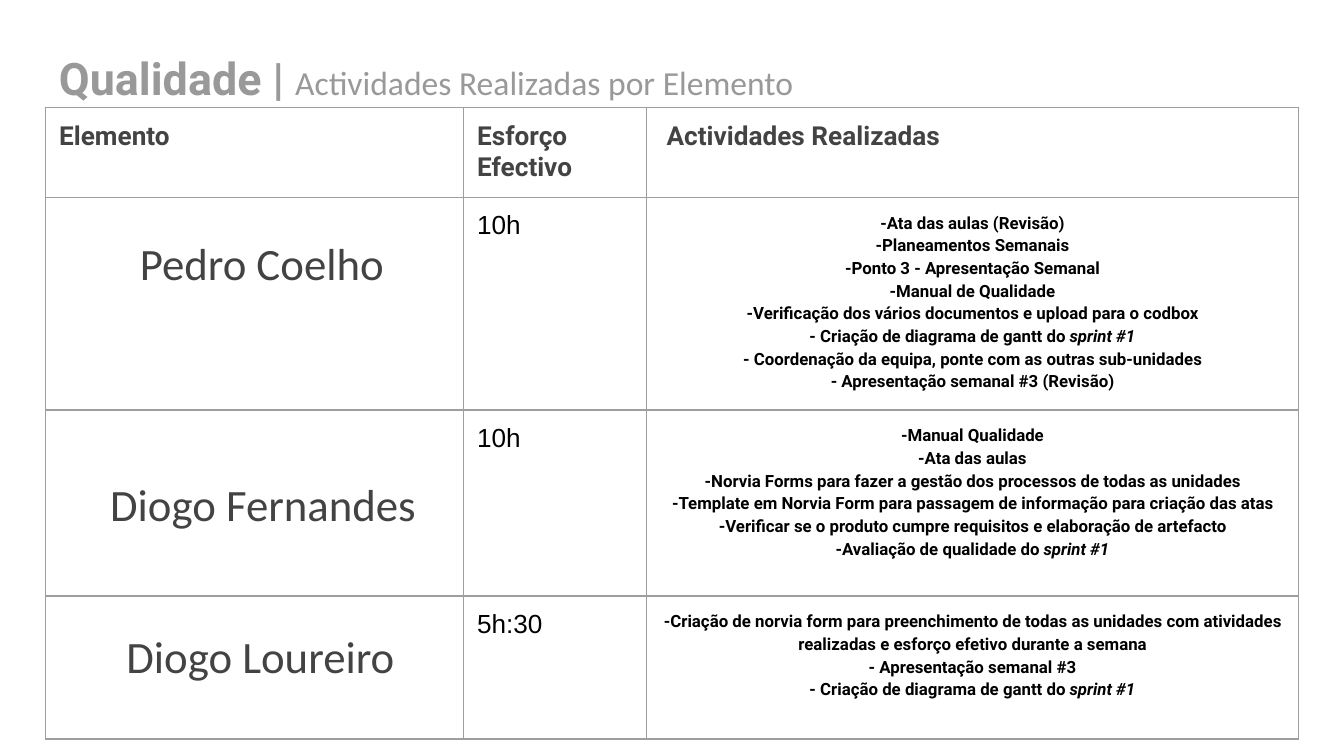
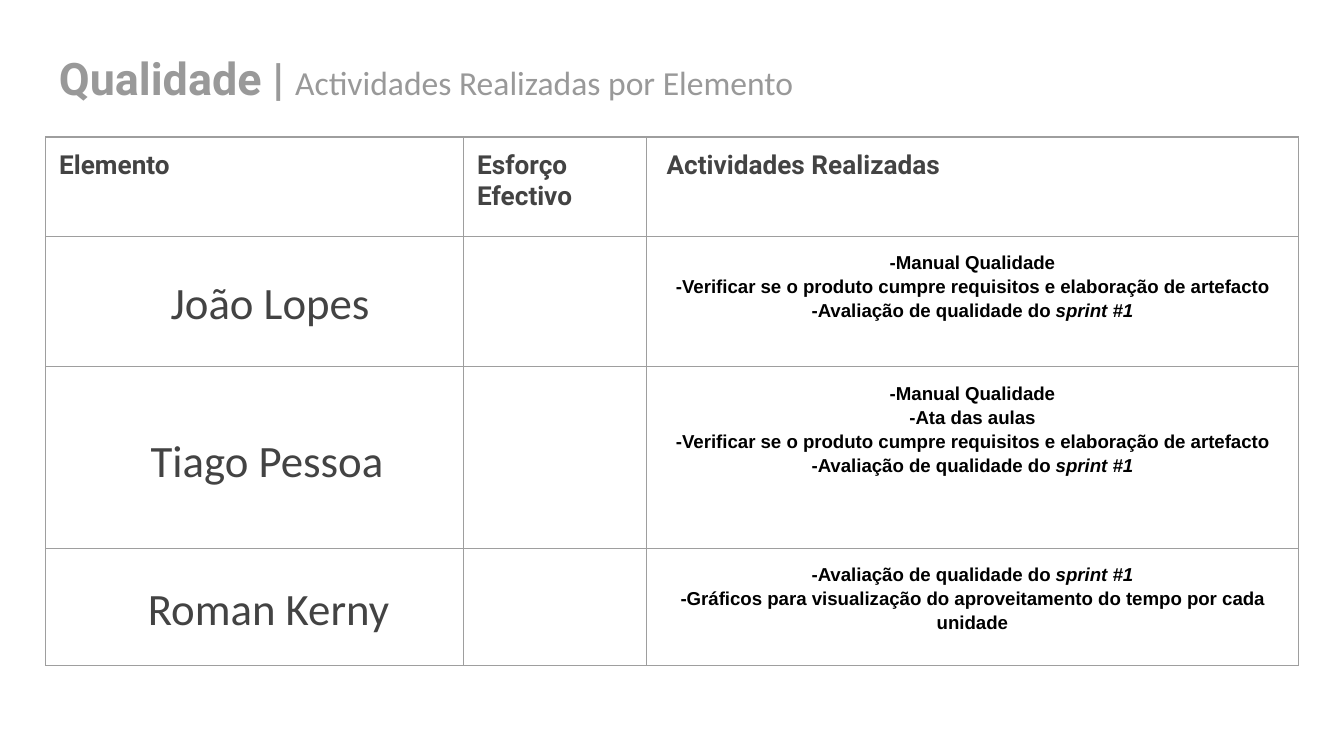
import dataclasses
import typing

import pptx
import pptx.dml.color
import pptx.enum.text
import pptx.oxml
import pptx.oxml.ns
import pptx.util


@dataclasses.dataclass(frozen=True)
class Theme:
    head: str = "Roboto"
    name: str = "Calibri"
    plain: str = "Arial"
    grey: str = "999999"
    dark: str = "434343"
    black: str = "000000"
    edge: str = "9E9E9E"
    big: int = 24
    mid: int = 18
    base: int = 14
    line: float = 0.75
    lead: float = 1.15


class Member(typing.NamedTuple):
    name: str
    hours: str
    tasks: list[str]
    height: float
    indent: float
    top: float


class Page(typing.NamedTuple):
    top: float
    head: float
    face: str
    size: int
    team: list[Member]


THEME = Theme()
WIDE = pptx.util.Inches(10)
TALL = WIDE * 9 // 16
UNIT = WIDE / 100
LEFT = 3.4
PAD = 1
COLS = (31.1, 13.6, 48.5)
HEADS = ("Elemento", "Esforço Efectivo", "Actividades Realizadas")
CENTER = pptx.enum.text.PP_ALIGN.CENTER

CHECK = "-Verificar se o produto cumpre requisitos e elaboração de artefacto"
RATE = "-Avaliação de qualidade do *sprint #1*"
GANTT = "- Criação de diagrama de gantt do *sprint #1*"
GUIDE = "-Manual Qualidade"
NOTES = "-Ata das aulas"

PAGES = [
    Page(8, 6.55, THEME.head, 9, [
        Member("Pedro Coelho", "10h", [
            "-Ata das aulas (Revisão)",
            "-Planeamentos Semanais",
            "-Ponto 3 - Apresentação Semanal",
            "-Manual de Qualidade",
            "-Verificação dos vários documentos e upload para o codbox",
            GANTT,
            "- Coordenação da equipa, ponte com as outras sub-unidades",
            "- Apresentação semanal #3 (Revisão)",
        ], 15.48, 6, 3),
        Member("Diogo Fernandes", "10h", [
            GUIDE,
            NOTES,
            "-Norvia Forms para fazer a gestão dos processos de todas as unidades",
            "-Template em Norvia Form para passagem de informação para criação das atas",
            CHECK,
            RATE,
        ], 13.84, 3.8, 5.1),
        Member("Diogo Loureiro", "5h:30", [
            "-Criação de norvia form para preenchimento de todas as unidades "
            "com atividades realizadas e esforço efetivo durante a semana",
            "- Apresentação semanal #3",
            GANTT,
        ], 10.64, 5, 2.6),
    ]),
    Page(10.2, 7.4, THEME.plain, 10, [
        Member("João Lopes", "", [GUIDE, CHECK, RATE], 9.7, 8.3, 3),
        Member("Tiago Pessoa", "", [GUIDE, NOTES, CHECK, RATE], 13.5, 6.8, 5.1),
        Member("Roman Kerny", "", [
            RATE,
            "-Gráficos para visualização do aproveitamento do tempo por cada unidade",
        ], 8.7, 6.6, 2.6),
    ]),
]


def span(count: float) -> int:
    return round(count * UNIT)


def write(par, text: str, *, face: str, size: int, tone: str, bold: bool = False,
          align=None, lead: float | None = None) -> None:
    par.alignment = align
    par.line_spacing = lead
    for spot, part in enumerate(text.split("*")):
        if part:
            run = par.add_run()
            run.text = part
            font = run.font
            font.name, font.size = face, pptx.util.Pt(size)
            font.bold, font.italic = bold, spot % 2 == 1
            font.color.rgb = pptx.dml.color.RGBColor.from_string(tone)


def frame(cell) -> None:
    props = cell._tc.get_or_add_tcPr()
    for side in ("L", "R", "T", "B"):
        props.append(pptx.oxml.parse_xml(
            f'<a:ln{side} {pptx.oxml.ns.nsdecls("a")} w="{pptx.util.Pt(THEME.line)}">'
            f'<a:solidFill><a:srgbClr val="{THEME.edge}"/></a:solidFill></a:ln{side}>'))
    cell.fill.background()


def fill(cell, lines: list[str], indent: float = 0, top: float = PAD, **style) -> None:
    cell.margin_left = span(PAD + indent)
    cell.margin_right = cell.margin_bottom = span(PAD)
    cell.margin_top = span(top)
    for spot, line in enumerate(lines):
        body = cell.text_frame
        par = body.add_paragraph() if spot else body.paragraphs[0]
        write(par, line, **style)


def title(slide) -> None:
    box = slide.shapes.add_textbox(span(LEFT), span(2.6), span(sum(COLS)), span(6.3))
    body = box.text_frame
    body.word_wrap = True
    body.vertical_anchor = pptx.enum.text.MSO_ANCHOR.MIDDLE
    body.margin_left = body.margin_right = span(PAD)
    body.margin_top = body.margin_bottom = span(PAD)
    par = body.paragraphs[0]
    write(par, "Qualidade | ", face=THEME.head, size=THEME.big, tone=THEME.grey, bold=True)
    write(par, "Actividades Realizadas por Elemento",
          face=THEME.name, size=THEME.mid, tone=THEME.grey)


def grid(slide, page: Page) -> None:
    rows = [page.head, *(member.height for member in page.team)]
    table = slide.shapes.add_table(
        len(rows), len(COLS), span(LEFT), span(page.top),
        span(sum(COLS)), span(sum(rows))).table
    table.first_row = table.horz_banding = False
    for col, width in zip(table.columns, COLS):
        col.width = span(width)
    for row, height in zip(table.rows, rows):
        row.height = span(height)
    for cell in table.iter_cells():
        frame(cell)
    for cell, text, indent in zip(table.rows[0].cells, HEADS, (0, 0, 0.5)):
        fill(cell, [text], indent, face=THEME.head, size=THEME.base,
             tone=THEME.dark, bold=True)
    for spot, member in enumerate(page.team, 1):
        name, hours, tasks = table.rows[spot].cells
        fill(name, [member.name], member.indent, member.top,
             face=THEME.name, size=THEME.big, tone=THEME.dark)
        fill(hours, [member.hours], face=THEME.plain, size=THEME.base, tone=THEME.black)
        fill(tasks, member.tasks, face=page.face, size=page.size, tone=THEME.black,
             bold=True, align=CENTER, lead=THEME.lead)


def main() -> None:
    deck = pptx.Presentation()
    deck.slide_width, deck.slide_height = WIDE, TALL
    for page in PAGES:
        slide = deck.slides.add_slide(deck.slide_layouts[6])
        title(slide)
        grid(slide, page)
    deck.save("out.pptx")


if __name__ == "__main__":
    main()
